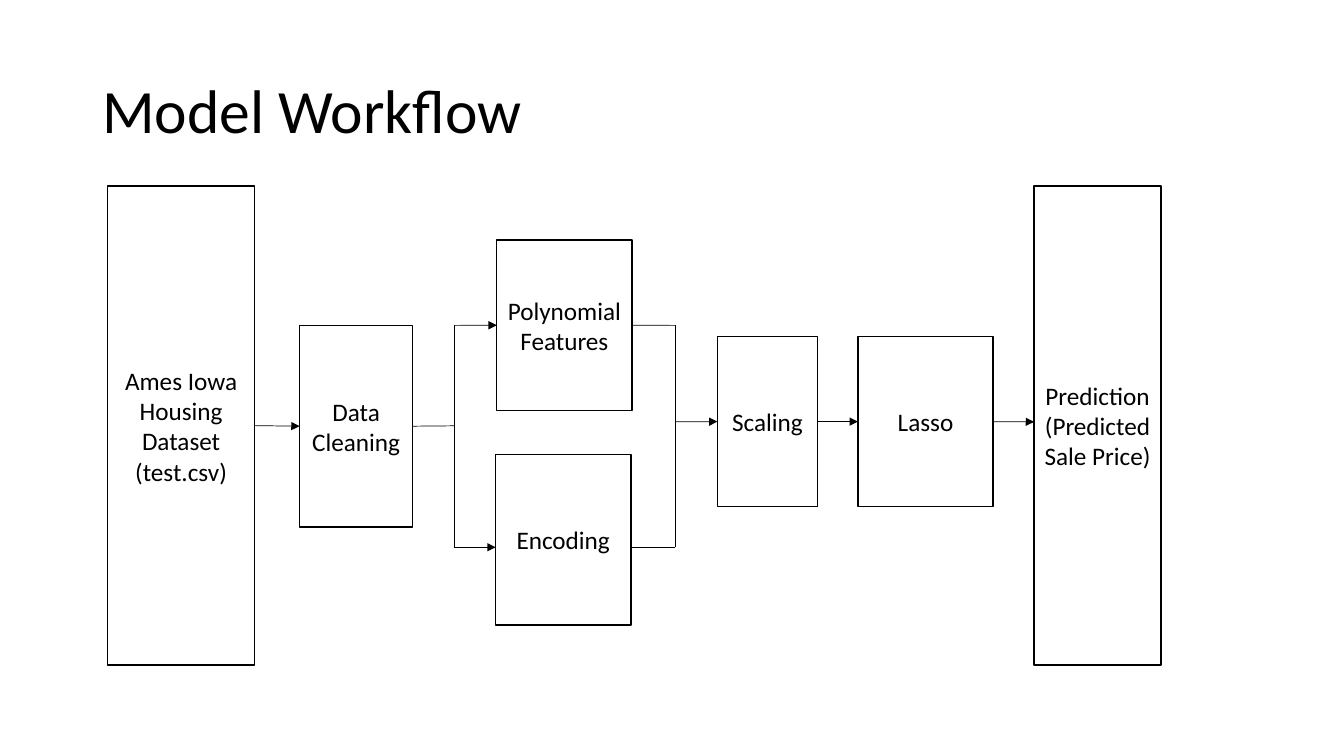
from typing import NamedTuple, Optional

from lxml import etree
from pptx import Presentation
from pptx import util as u
from pptx.dml.color import RGBColor
from pptx.enum import shapes, text
from pptx.oxml.ns import qn

INK, PAPER = "000000", "FFFFFF"
LEFT, RIGHT = 1, 3  # connection sites of a rectangle


class Box(NamedTuple):
    label: str
    x: float
    y: float
    w: float
    h: float


class Link(NamedTuple):
    x1: float
    y1: float
    x2: float
    y2: float
    arrow: bool = False
    src: Optional[str] = None
    dest: Optional[str] = None


# Lengths in centimetres
TALL, MID = 12.07, 4.29
TOP, ROW = 4.69, 8.48
FORK, JOIN = 11.45, 17.02
HIGH, LOW = 8.2, 13.79
MAIN, FLOW = 10.73, 10.63

BOXES = {
    "poly": Box("Polynomial Features", 12.52, 6.05, 3.41, MID),
    "scale": Box("Scaling", 18.08, ROW, 2.52, MID),
    "code": Box("Encoding", 12.49, 11.46, 3.41, MID),
    "lasso": Box("Lasso", 21.62, ROW, 3.41, MID),
    "sale": Box("Prediction\n(Predicted Sale Price)", 26.06, TOP, 3.2, TALL),
    "data": Box("Ames Iowa Housing Dataset (test.csv)", 2.71, TOP, 3.71, TALL),
    "clean": Box("Data Cleaning", 7.55, HIGH, 2.85, 5.08),
}

LINKS = [
    Link(6.42, MAIN, 7.55, MAIN, True, "data", "clean"),
    Link(25.03, FLOW, 26.06, FLOW, True, "lasso"),
    Link(FORK, HIGH, 12.52, HIGH, True, dest="poly"),
    Link(20.6, FLOW, 21.62, FLOW, True, "scale", "lasso"),
    Link(10.4, MAIN, FORK, MAIN, src="clean"),
    Link(JOIN, FLOW, 18.08, FLOW, True, dest="scale"),
    Link(FORK, LOW, 12.49, LOW, True),
    Link(15.93, HIGH, JOIN, HIGH, src="poly"),
    Link(15.93, LOW, JOIN, LOW),
    Link(JOIN, LOW, JOIN, HIGH),
    Link(FORK, LOW, FORK, HIGH),
]


def color(hue: str) -> RGBColor:
    return RGBColor.from_string(hue)


def write(frame, label: str, size: float, align, space: float = 1.0) -> None:
    frame.text = label
    frame.word_wrap = True
    frame.vertical_anchor = text.MSO_ANCHOR.MIDDLE
    for para in frame.paragraphs:
        para.alignment = align
        para.line_spacing = space
        para.font.name = "Calibri"
        para.font.size = u.Pt(size)
        para.font.color.rgb = color(INK)


def draw_box(slide, box: Box):
    shape = slide.shapes.add_shape(
        shapes.MSO_SHAPE.RECTANGLE, *map(u.Cm, (box.x, box.y, box.w, box.h)))
    shape.shadow.inherit = False
    shape.fill.solid()
    shape.fill.fore_color.rgb = color(PAPER)
    shape.line.color.rgb = color(INK)
    shape.line.width = u.Pt(1)
    write(shape.text_frame, box.label, 18, text.PP_ALIGN.CENTER)
    return shape


def draw_link(slide, link: Link, drawn: dict) -> None:
    line = slide.shapes.add_connector(
        shapes.MSO_CONNECTOR.STRAIGHT,
        *map(u.Cm, (link.x1, link.y1, link.x2, link.y2)))
    line.line.color.rgb = color(INK)
    line.line.width = u.Pt(0.5)
    if link.src:
        line.begin_connect(drawn[link.src], RIGHT)
    if link.dest:
        line.end_connect(drawn[link.dest], LEFT)
    if link.arrow:
        etree.SubElement(line.line._get_or_add_ln(), qn("a:tailEnd"),
                         type="triangle")
    etree.SubElement(line._element.spPr, qn("a:effectLst"))


def main() -> None:
    deck = Presentation()
    deck.slide_width, deck.slide_height = u.Cm(33.87), u.Cm(19.05)
    slide = deck.slides.add_slide(deck.slide_layouts[6])

    # Title
    title = slide.shapes.add_textbox(*map(u.Cm, (2.33, 1.01, 29.21, 3.68)))
    write(title.text_frame, "Model Workflow", 44, text.PP_ALIGN.LEFT, 0.9)

    # Workflow steps and the lines between them
    drawn = {key: draw_box(slide, box) for key, box in BOXES.items()}
    for link in LINKS:
        draw_link(slide, link, drawn)

    deck.save("out.pptx")


if __name__ == "__main__":
    main()
